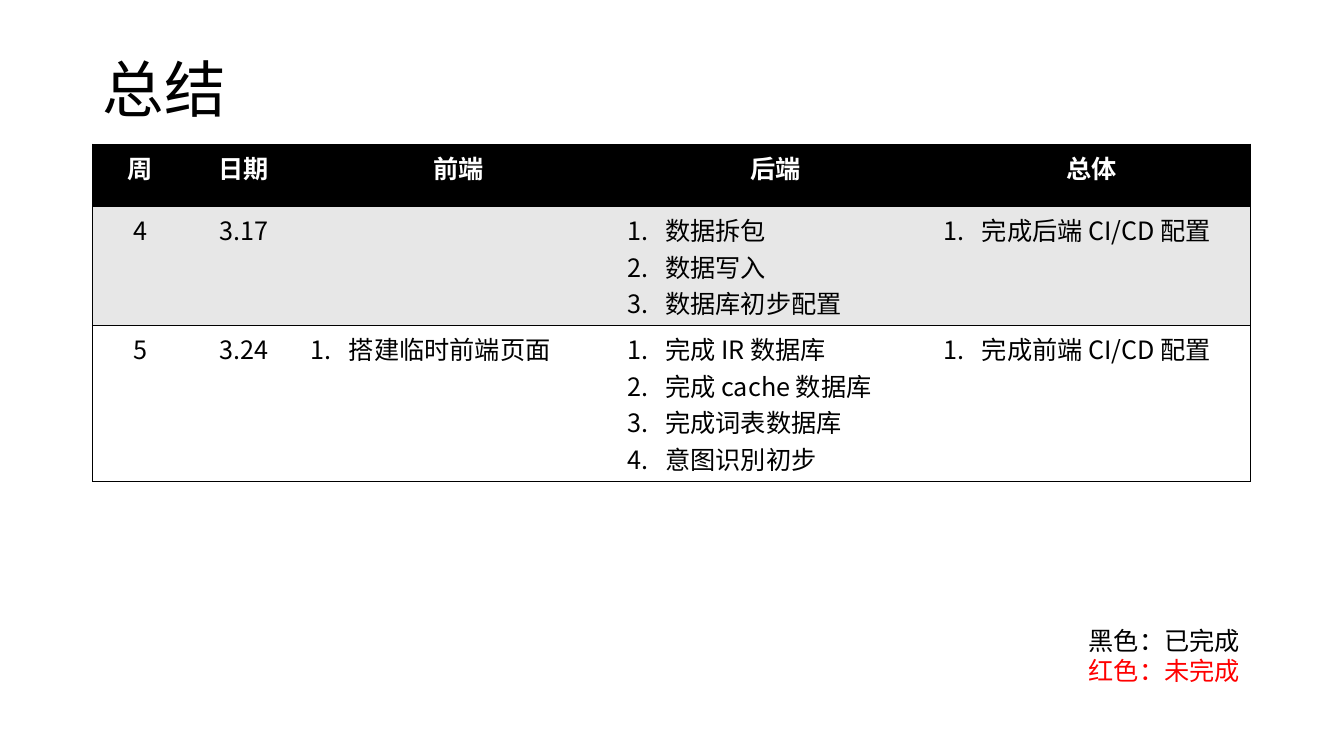
from lxml.etree import SubElement
from pptx import Presentation
from pptx.dml.color import RGBColor
from pptx.enum.text import MSO_ANCHOR, PP_ALIGN
from pptx.oxml.ns import qn
from pptx.util import Inches, Pt

FONT = "Noto Sans CJK TC"
BLACK = RGBColor(0x00, 0x00, 0x00)
WHITE = RGBColor(0xFF, 0xFF, 0xFF)
GREY = RGBColor(0xE7, 0xE7, 0xE7)
RED = RGBColor(0xFF, 0x00, 0x00)

COLUMN_WIDTHS = [0.94, 1.12, 3.14, 3.14, 3.14]
ROW_HEIGHTS = [0.62, 1.18, 1.55]
ROW_FILLS = [BLACK, GREY, WHITE]
HEADERS = ["周", "日期", "前端", "后端", "总体"]
WEEKS = [
    ["4", "3.17", [], ["数据拆包", "数据写入", "数据库初步配置"],
     ["完成后端 CI/CD 配置"]],
    ["5", "3.24", ["搭建临时前端页面"],
     ["完成 IR 数据库", "完成 cache 数据库", "完成词表数据库", "意图识別初步"],
     ["完成前端 CI/CD 配置"]],
]


def style_paragraph(paragraph, size, color, bold=False):
    """Set the font of a paragraph for Latin and East Asian text."""
    font = paragraph.font
    font.name, font.size, font.bold = FONT, Pt(size), bold
    font.color.rgb = color
    properties = paragraph._p.get_or_add_pPr().find(qn("a:defRPr"))
    SubElement(properties, qn("a:ea")).set("typeface", FONT)


def number_paragraph(paragraph):
    """Turn a paragraph into an item of a numbered list."""
    properties = paragraph._p.get_or_add_pPr()
    properties.set("marL", str(Inches(0.38)))
    properties.set("indent", str(-Inches(0.38)))
    SubElement(properties, qn("a:buFont")).set("typeface", FONT)
    SubElement(properties, qn("a:buAutoNum")).set("type", "arabicPeriod")


def add_lines(text_frame, lines):
    """Write one paragraph per line and return the paragraphs."""
    text_frame.text = "\n".join(lines)
    return text_frame.paragraphs


def add_text(slide, left, top, width, height, lines, size, colors):
    """Add a text box with one colour per line and return its frame."""
    box = slide.shapes.add_textbox(
        Inches(left), Inches(top), Inches(width), Inches(height))
    for paragraph, color in zip(add_lines(box.text_frame, lines), colors):
        style_paragraph(paragraph, size, color)
    return box.text_frame


def set_borders(cell, sides):
    """Draw thin black lines on the given sides and none on the others."""
    properties = cell._tc.get_or_add_tcPr()
    for position, side in enumerate("LRTB"):
        line = properties.makeelement(qn(f"a:ln{side}"), {"w": str(Pt(1))})
        properties.insert(position, line)
        if side in sides:
            fill = SubElement(line, qn("a:solidFill"))
            SubElement(fill, qn("a:srgbClr")).set("val", str(BLACK))
        else:
            SubElement(line, qn("a:noFill"))


def fill_cell(cell, content, fill, header):
    """Fill a cell with centred text or a numbered list."""
    cell.fill.solid()
    cell.fill.fore_color.rgb = fill
    numbered = isinstance(content, list)
    lines = content if numbered else [content]
    for paragraph in add_lines(cell.text_frame, lines):
        if numbered and lines:
            number_paragraph(paragraph)
        elif not numbered:
            paragraph.alignment = PP_ALIGN.CENTER
        style_paragraph(paragraph, 18, WHITE if header else BLACK, header)


def add_summary_table(slide):
    """Add the table of weekly progress."""
    rows = [HEADERS] + WEEKS
    table = slide.shapes.add_table(
        len(rows), len(HEADERS), Inches(0.92), Inches(1.43),
        Inches(sum(COLUMN_WIDTHS)), Inches(sum(ROW_HEIGHTS))).table
    for column, width in zip(table.columns, COLUMN_WIDTHS):
        column.width = Inches(width)
    for row_index, contents in enumerate(rows):
        table.rows[row_index].height = Inches(ROW_HEIGHTS[row_index])
        for column_index, content in enumerate(contents):
            cell = table.cell(row_index, column_index)
            fill_cell(cell, content, ROW_FILLS[row_index], row_index == 0)
            outer = {0: "L", len(HEADERS) - 1: "R"}.get(column_index, "")
            set_borders(cell, "TB" + outer)


def main():
    """Build the summary slide."""
    presentation = Presentation()
    presentation.slide_width = Inches(13.33)
    presentation.slide_height = Inches(7.5)
    slide = presentation.slides.add_slide(presentation.slide_layouts[6])
    title = add_text(slide, 0.92, 0.3, 11.5, 1.23, ["总结"], 44, [BLACK])
    title.word_wrap = True
    title.vertical_anchor = MSO_ANCHOR.MIDDLE
    title.paragraphs[0].line_spacing = 0.9
    add_summary_table(slide)
    add_text(slide, 10.7, 6.15, 1.72, 0.71,
             ["黑色：已完成", "红色：未完成"], 18, [BLACK, RED])
    presentation.save("out.pptx")


main()
